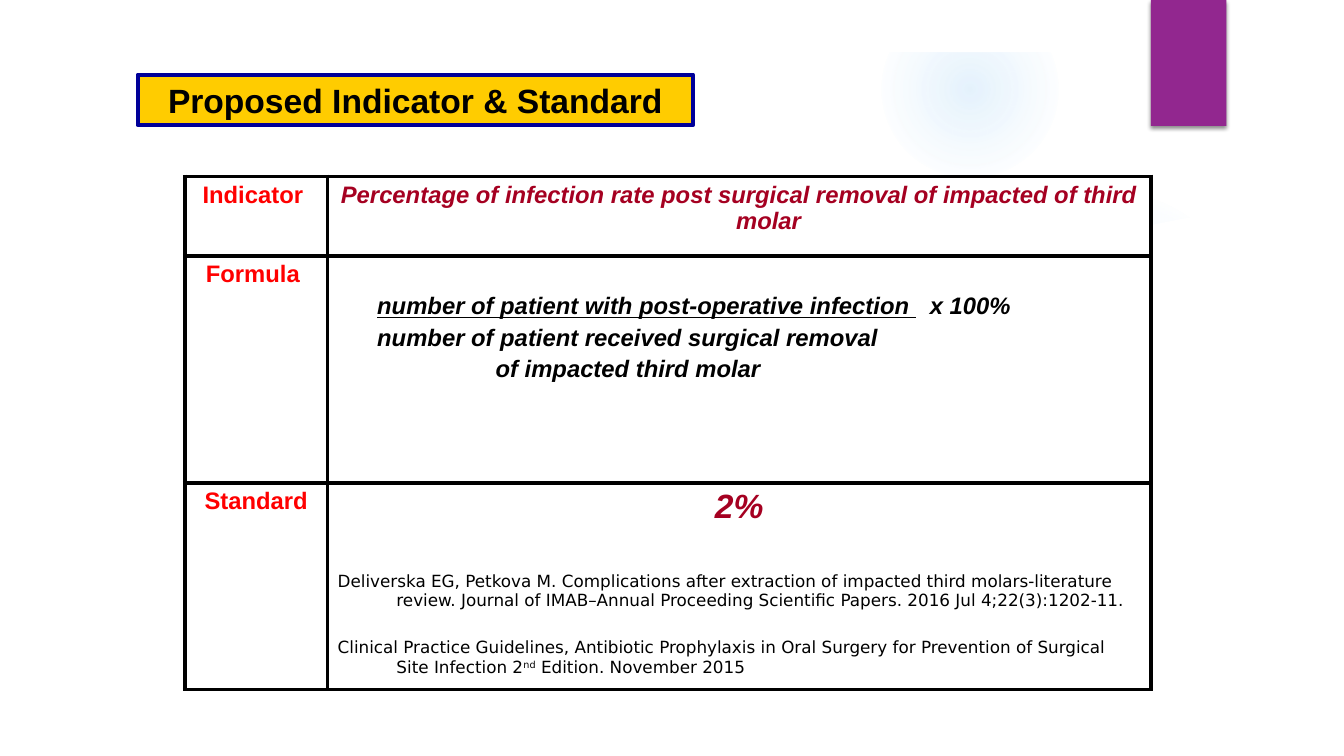
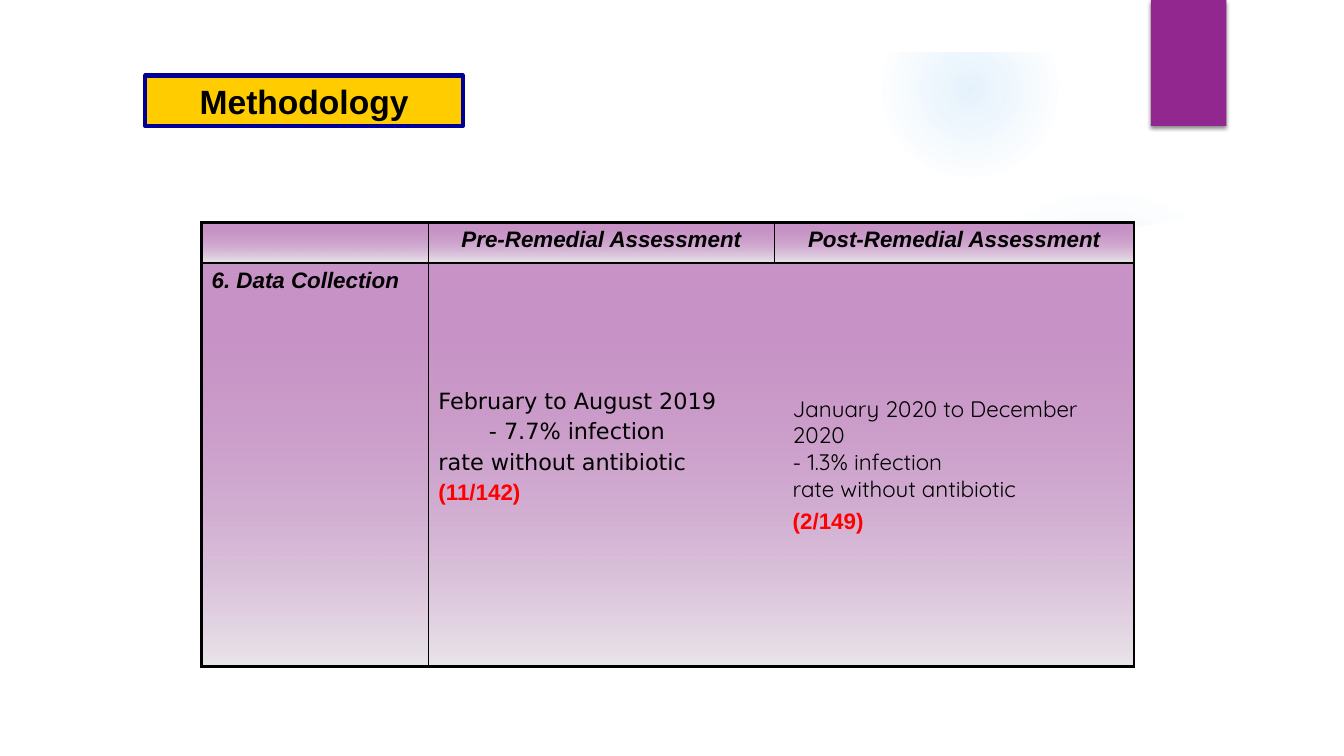
import dataclasses
import typing

import lxml.etree
import pptx
import pptx.dml.color
import pptx.enum.shapes
import pptx.enum.text
import pptx.oxml.ns
import pptx.util

COLUMNS, ROWS = 160, 90
UNIT = pptx.util.Inches(7.5) // ROWS
HANGING = 7
COLOURS = {
    "white": "FFFFFF", "black": "000000", "sky": "45A5ED", "purple": "92278F",
    "mist": "EAE5EB", "gold": "FFCC00", "navy": "000099", "red": "FF0000",
    "crimson": "A50021",
}
PLAIN = {"bold": False, "italic": False}
BOLD = {"bold": True, "italic": False}
BOLD_ITALIC = {"bold": True, "italic": True}
CENTER = pptx.enum.text.PP_ALIGN.CENTER
LEFT = pptx.enum.text.PP_ALIGN.LEFT
SHAPES = pptx.enum.shapes.MSO_SHAPE


class Box(typing.NamedTuple):
    left: float
    top: float
    width: float
    height: float


class Stop(typing.NamedTuple):
    position: int
    colour: str
    opacity: int = 100


class Glow(typing.NamedTuple):
    box: Box
    stops: list[Stop]


@dataclasses.dataclass
class Run:
    text: str
    size: float = 17
    font: str = "Arial"
    colour: str = "black"
    formats: dict = dataclasses.field(default_factory=lambda: BOLD)
    attributes: dict = dataclasses.field(default_factory=dict)


@dataclasses.dataclass
class Paragraph:
    runs: list[Run]
    alignment: int = LEFT
    margin: float = 0
    indent: float = 0
    gap: float | None = None  # points; None means a fifth of the text size


@dataclasses.dataclass
class Cell:
    paragraphs: list[Paragraph] = dataclasses.field(default_factory=list)
    top_margin: float = 0.6
    span: int = 1


@dataclasses.dataclass
class Table:
    left: float
    top: float
    widths: list[float]
    heights: list[float]
    cells: list[list[Cell]]
    outer_line: float
    inner_line: float
    stops: list[Stop] | None = None


GLOWS = [
    Glow(Box(113, 22, 37, 37), [Stop(0, "sky", 7), Stop(36, "sky", 6), Stop(69, "sky", 0)]),
    Glow(Box(105, 0.1, 21, 21), [Stop(0, "sky", 14), Stop(36, "sky", 7), Stop(73, "sky", 0)]),
]
PANEL = [
    (6, 24.5), (6, 84), (154, 84), (154, 24.5), (150.7, 25.1), (140.6, 26.4),
    (130.6, 27.6), (120.5, 28.4), (110.5, 29), (97.6, 29.5), (81.8, 29.8),
    (64.2, 29.4), (48.1, 28.6), (29.9, 27.2), (16.2, 25.8),
]
FRAME_WIDTH = 6.2


def grid(value: float) -> int:
    return round(value * UNIT)


def rgb(name: str) -> pptx.dml.color.RGBColor:
    return pptx.dml.color.RGBColor.from_string(COLOURS[name])


def set_formats(target, formats: dict) -> None:
    for name, value in formats.items():
        setattr(target, name, value)


def add_xml(parent, tag: str, **attributes):
    child = lxml.etree.SubElement(parent, pptx.oxml.ns.qn(tag))
    for name, value in attributes.items():
        child.set(name, str(value))
    return child


def add_colour(parent, name: str, opacity: int = 100) -> None:
    colour = add_xml(parent, "a:srgbClr", val=COLOURS[name])
    if opacity < 100:
        add_xml(colour, "a:alpha", val=opacity * 1000)


def fill_gradient(fill, properties, stops: list[Stop], radial: bool) -> None:
    fill.background()
    gradient = lxml.etree.Element(pptx.oxml.ns.qn("a:gradFill"), rotWithShape="1")
    stop_list = add_xml(gradient, "a:gsLst")
    for stop in stops:
        entry = add_xml(stop_list, "a:gs", pos=stop.position * 1000)
        add_colour(entry, stop.colour, stop.opacity)
    if radial:
        circle = add_xml(gradient, "a:path", path="circle")
        add_xml(circle, "a:fillToRect", l=50000, t=50000, r=50000, b=50000)
    else:
        add_xml(gradient, "a:lin", ang=5400000, scaled=0)
    properties.replace(properties.find(pptx.oxml.ns.qn("a:noFill")), gradient)


def style_shape(shape, fill: str | None = None, line: str | None = None) -> None:
    shape.shadow.inherit = False
    if fill:
        shape.fill.solid()
        shape.fill.fore_color.rgb = rgb(fill)
    if line:
        shape.line.color.rgb = rgb(line)
        shape.line.width = pptx.util.Pt(3)
    else:
        shape.line.fill.background()


def add_shape(slide, kind: int, box: Box, fill: str | None = None, line: str | None = None):
    shape = slide.shapes.add_shape(kind, *map(grid, box))
    style_shape(shape, fill, line)
    return shape


def write_text(frame, paragraphs: list[Paragraph]) -> None:
    for index, content in enumerate(paragraphs):
        paragraph = frame.add_paragraph() if index else frame.paragraphs[0]
        gap = content.runs[0].size / 5 if content.gap is None else content.gap
        set_formats(paragraph, {
            "alignment": content.alignment,
            "space_before": pptx.util.Pt(gap if index else 0),
        })
        properties = paragraph._p.get_or_add_pPr()
        properties.set("marL", str(grid(content.margin)))
        properties.set("indent", str(grid(content.indent)))
        for part in content.runs:
            run = paragraph.add_run()
            run.text = part.text
            set_formats(run.font, {"size": pptx.util.Pt(part.size), "name": part.font, **part.formats})
            run.font.color.rgb = rgb(part.colour)
            for name, value in part.attributes.items():
                run._r.get_or_add_rPr().set(name, value)


def hanging(*runs: Run, alignment: int = LEFT, gap: float | None = None) -> Paragraph:
    return Paragraph(list(runs), alignment, HANGING, -HANGING, gap)


def add_backdrop(slide) -> None:
    # Soft glows, cut off by the curved panel and the frame
    for glow in GLOWS:
        shape = add_shape(slide, SHAPES.OVAL, glow.box)
        fill_gradient(shape.fill, shape._element.spPr, glow.stops, radial=True)
    builder = slide.shapes.build_freeform(*PANEL[0], scale=UNIT)
    builder.add_line_segments(PANEL[1:], close=True)
    style_shape(builder.convert_to_shape(), "white")
    frame = add_shape(slide, SHAPES.FRAME, Box(0, 0, COLUMNS, ROWS), "white")
    frame.adjustments[0] = FRAME_WIDTH / ROWS
    # Purple tab with its shadow
    tab = add_shape(slide, SHAPES.RECTANGLE, Box(137, 0, 9, 15), "purple")
    effects = tab._element.spPr.find(pptx.oxml.ns.qn("a:effectLst"))
    shadow = add_xml(effects, "a:outerShdw", blurRad=pptx.util.Pt(3), dist=pptx.util.Pt(2),
                     dir=5400000, rotWithShape=0)
    add_colour(shadow, "black", 45)


def add_title(slide, text: str, box: Box) -> None:
    shape = add_shape(slide, SHAPES.RECTANGLE, box, "gold", "navy")
    set_formats(shape.text_frame, {
        "word_wrap": True,
        "vertical_anchor": pptx.enum.text.MSO_ANCHOR.MIDDLE,
        "auto_size": pptx.enum.text.MSO_AUTO_SIZE.SHAPE_TO_FIT_TEXT,
    })
    write_text(shape.text_frame, [Paragraph([Run(text, 24)], CENTER)])


def add_border(properties, position: int, side: str, width: float) -> None:
    line = lxml.etree.Element(pptx.oxml.ns.qn(f"a:ln{side}"), w=str(pptx.util.Pt(width)))
    add_colour(add_xml(line, "a:solidFill"), "black")
    properties.insert(position, line)


def add_table(slide, content: Table) -> None:
    row_count, column_count = len(content.heights), len(content.widths)
    box = Box(content.left, content.top, sum(content.widths), sum(content.heights))
    table = slide.shapes.add_table(row_count, column_count, *map(grid, box)).table
    set_formats(table, {"first_row": False, "horz_banding": False})
    for column, width in zip(table.columns, content.widths):
        column.width = grid(width)
    for row, height in zip(table.rows, content.heights):
        row.height = grid(height)
    for row_index, cells in enumerate(content.cells):
        for column_index, entry in enumerate(cells):
            cell = table.cell(row_index, column_index)
            last_column = column_index + entry.span - 1
            if entry.span > 1:
                cell.merge(table.cell(row_index, last_column))
            cell.margin_top = grid(entry.top_margin)
            write_text(cell.text_frame, entry.paragraphs)
            properties = cell._tc.get_or_add_tcPr()
            if content.stops:
                fill_gradient(cell.fill, properties, content.stops, radial=False)
            else:
                cell.fill.solid()
                cell.fill.fore_color.rgb = rgb("white")
            at_edge = {
                "L": column_index == 0, "R": last_column == column_count - 1,
                "T": row_index == 0, "B": row_index == row_count - 1,
            }
            for position, (side, outer) in enumerate(at_edge.items()):
                add_border(properties, position, side, content.outer_line if outer else content.inner_line)


def label(text: str) -> Cell:
    return Cell([hanging(Run(text, colour="red"), alignment=CENTER)])


def heading(text: str, alignment: int = CENTER) -> Cell:
    return Cell([Paragraph([Run(text, 16, formats=BOLD_ITALIC)], alignment)])


def reference(text: str, **attributes: str) -> Run:
    return Run(text, 12, "DejaVu Sans", formats=PLAIN, attributes=attributes)


def formula(text: str, **extra) -> Run:
    return Run(text, formats={**BOLD_ITALIC, **extra})


def result(text: str, font: str) -> Run:
    return Run(text, 16, font, formats=PLAIN)


def ratio(text: str) -> Paragraph:
    return hanging(Run(text, 16, colour="red"))


def build_indicator(slide) -> None:
    add_title(slide, "Proposed Indicator & Standard", Box(16.4, 8.9, 66.1, 6))
    indicator = Run("Percentage of infection rate post surgical removal of impacted of third molar",
                    colour="crimson", formats=BOLD_ITALIC)
    fraction = Cell([
        Paragraph([
            formula("number of patient with post-operative infection ", underline=True),
            Run(" ", formats=BOLD_ITALIC, attributes={"spc": "470"}),
            formula("x 100%"),
        ], margin=4.7),
        Paragraph([formula("number of patient received surgical removal")], margin=4.7),
        Paragraph([formula("of impacted third molar")], margin=18.8),
    ], top_margin=4.4)
    standard = Cell([
        hanging(Run("2%", 24, colour="crimson", formats=BOLD_ITALIC), alignment=CENTER),
        hanging(reference("Deliverska EG, Petkova M. Complications after extraction of impacted third "
                          "molars-literature review. Journal of IMAB–Annual Proceeding Scientific "
                          "Papers. 2016 Jul 4;22(3):1202-11."), gap=33),
        hanging(reference("Clinical Practice Guidelines, Antibiotic Prophylaxis in Oral Surgery for "
                          "Prevention of Surgical Site Infection 2"),
                reference("nd", baseline="30000"),
                reference(" Edition. November 2015"), gap=19.4),
    ])
    add_table(slide, Table(22, 21, [17, 98], [9.5, 27, 24.6], [
        [label("Indicator "), Cell([hanging(indicator, alignment=CENTER)])],
        [label("Formula "), fraction],
        [label("Standard"), standard],
    ], outer_line=3, inner_line=3))


def build_methodology(slide) -> None:
    add_title(slide, "Methodology", Box(17.3, 9, 37.8, 6))
    before = Cell([
        hanging(result("February to August 2019", "DejaVu Sans")),
        Paragraph([result("- 7.7% infection", "DejaVu Sans")], margin=6),
        Paragraph([result("rate without antibiotic", "DejaVu Sans")]),
        ratio("(11/142)"),
    ], top_margin=15, span=2)
    add_table(slide, Table(24, 26.5, [27, 41.2, 42.8], [4.8, 48], [
        [Cell(), heading("Pre-Remedial Assessment"), heading("Post-Remedial Assessment")],
        [heading("6. Data Collection", LEFT), before],
    ], outer_line=2.25, inner_line=1, stops=[Stop(0, "purple", 50), Stop(100, "mist")]))
    # Results after the remedial measures
    after = slide.shapes.add_textbox(*map(grid, Box(93.2, 46.4, 41.5, 18)))
    after.text_frame.word_wrap = True
    lines = ["January 2020 to December 2020", "- 1.3% infection", "rate without antibiotic"]
    write_text(after.text_frame, [
        *(Paragraph([result(line, "Quicksand")], gap=0) for line in lines),
        ratio("(2/149)"),
    ])


def main() -> None:
    presentation = pptx.Presentation()
    set_formats(presentation, {"slide_width": grid(COLUMNS), "slide_height": grid(ROWS)})
    for build in (build_indicator, build_methodology):
        slide = presentation.slides.add_slide(presentation.slide_layouts[6])
        add_backdrop(slide)
        build(slide)
    presentation.save("out.pptx")


if __name__ == "__main__":
    main()
